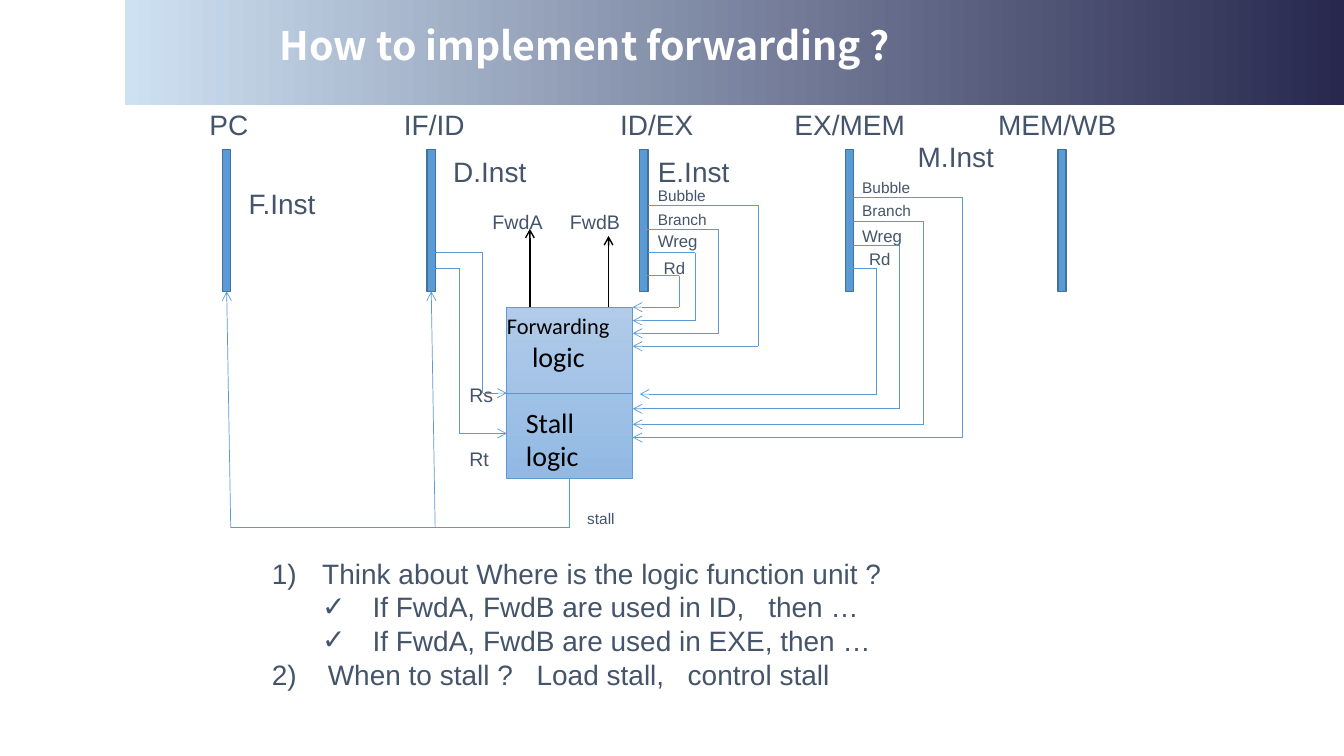
from dataclasses import dataclass
from typing import Any, Optional

from lxml.etree import SubElement
from pptx import Presentation
from pptx.dml.color import RGBColor
from pptx.enum.shapes import MSO_CONNECTOR, MSO_SHAPE
from pptx.enum.text import MSO_ANCHOR, PP_ALIGN
from pptx.oxml.ns import qn
from pptx.util import Pt

WHITE = RGBColor(0xFF, 0xFF, 0xFF)
BLACK = RGBColor(0x00, 0x00, 0x00)
SLATE = RGBColor(0x44, 0x54, 0x6A)
BLUE = RGBColor(0x5B, 0x9B, 0xD5)
DIVIDER_BLUE = RGBColor(0x56, 0x98, 0xD3)
BAR_EDGE = RGBColor(0x41, 0x71, 0x9C)
BANNER_LIGHT = RGBColor(0xCE, 0xE1, 0xF2)
BANNER_DARK = RGBColor(0x28, 0x28, 0x4E)
LOGIC_TOP = RGBColor(0xB1, 0xCB, 0xE9)
LOGIC_BOTTOM = RGBColor(0x92, 0xB9, 0xE4)

INSET = 7.2
BAR_TOP, BAR_WIDTH, BAR_HEIGHT = 106.6, 5.8, 101.5
LOGIC_LEFT, LOGIC_SURFACE, LOGIC_WIDTH, LOGIC_HEIGHT = 362.2, 219.6, 90, 122.4
LOGIC_RIGHT = LOGIC_LEFT + LOGIC_WIDTH
LOGIC_MIDDLE = LOGIC_SURFACE + LOGIC_HEIGHT / 2
LOGIC_CENTER = LOGIC_LEFT + LOGIC_WIDTH / 2
LOGIC_BASE = LOGIC_SURFACE + LOGIC_HEIGHT

Point = tuple[float, float]
Joint = Optional[tuple[Any, int]]


@dataclass
class Label:
    text: str
    left: float
    top: float
    size: float


@dataclass
class Register:
    name: str
    bar_left: float
    label_left: float


@dataclass
class Signal:
    label: Label
    start: float
    top: float
    turn: float
    bottom: float
    end: float = LOGIC_RIGHT


@dataclass
class LogicLine:
    text: str
    size: float
    indent: float
    before: float


@dataclass
class ListItem:
    phrases: list[str]
    margin: float
    hanging: float
    bullet: str
    attributes: dict[str, str]


REGISTERS = [
    Register("PC", 159.1, 142.6),
    Register("IF/ID", 305.3, 281.6),
    Register("ID/EX", 457.2, 436.1),
    Register("EX/MEM", 604.1, 560.6),
    Register("MEM/WB", 756, 706.2),
]
LABELS = [
    Label("F.Inst", 170.6, 129.6, 20),
    Label("D.Inst", 316.8, 106.6, 20),
    Label("E.Inst", 463, 106.6, 20),
    Label("M.Inst", 648.7, 95.8, 20),
    Label("Rs", 328.3, 270, 14),
    Label("Rt", 328.3, 315.4, 14),
    Label("stall", 412.6, 360, 11),
    Label("FwdA", 344.9, 146.2, 14),
    Label("FwdB", 400.2, 146.2, 14),
]
SIGNALS = [
    Signal(Label("Bubble", 463, 129.6, 11), 463, 146.5, 541.8, 247.3),
    Signal(Label("Branch", 463, 146.2, 11), 459.4, 163.6, 513.7, 238),
    Signal(Label("Wreg", 463, 161.3, 12), 463, 180.4, 496.8, 229),
    Signal(Label("Rd", 467.2, 180.7, 12), 460, 197, 485.3, 219.4),
    Signal(Label("Bubble", 609.1, 123.8, 11), 609.1, 141.1, 688, 312.5),
    Signal(Label("Branch", 609.1, 140.4, 11), 605.5, 158, 660.2, 303.1),
    Signal(Label("Wreg", 609.1, 157.7, 12), 609.1, 175, 643, 292),
    Signal(Label("Rd", 614, 174.2, 12), 609.1, 191.8, 626.4, 281.5, 457.2),
]
LOGIC_LINES = [
    LogicLine("Forwarding", 16, 0, 0),
    LogicLine("logic", 20, 18, 0),
    LogicLine("Stall", 20, 13.6, 23),
    LogicLine("logic", 20, 13.6, 0),
]
NUMBER = {"type": "arabicParenR"}
CHECK = {"char": "✓"}
LIST_ITEMS = [
    ListItem(["Think about Where is the logic function unit ?"], 36, 36, "a:buAutoNum", NUMBER),
    ListItem(["If FwdA, FwdB are used in ID,", "then …"], 72, 36, "a:buChar", CHECK),
    ListItem(["If FwdA, FwdB are used in EXE, then …"], 72, 36, "a:buChar", CHECK),
    ListItem(["When to stall ?", "Load stall,", "control stall"], 40, 40, "a:buAutoNum", NUMBER | {"startAt": "2"}),
]


def apply_format(target: Any, values: dict[str, Any]) -> None:
    for name, value in values.items():
        setattr(target, name, value)


def format_font(font: Any, name: str, size: float, color: RGBColor, bold: bool = False) -> None:
    apply_format(font, {"name": name, "size": Pt(size), "bold": bold})
    font.color.rgb = color


def add_text_box(slide: Any, left: float, top: float, width: float, height: float) -> Any:
    frame = slide.shapes.add_textbox(Pt(left), Pt(top), Pt(width), Pt(height)).text_frame
    frame.word_wrap = True
    return frame


def add_label(slide: Any, label: Label) -> None:
    width = len(label.text) * label.size * 0.8 + 2 * INSET
    frame = add_text_box(slide, label.left, label.top, width, label.size * 1.2 + INSET)
    paragraph = frame.paragraphs[0]
    paragraph.text = label.text
    format_font(paragraph.font, "Arial", label.size, SLATE)


def add_rectangle(slide: Any, left: float, top: float, width: float, height: float) -> Any:
    shape = slide.shapes.add_shape(MSO_SHAPE.RECTANGLE, Pt(left), Pt(top), Pt(width), Pt(height))
    shape.shadow.inherit = False
    return shape


def fill_gradient(shape: Any, colors: tuple[RGBColor, RGBColor], angle: float) -> None:
    shape.fill.gradient()
    shape.fill.gradient_angle = angle
    for stop, color in zip(shape.fill.gradient_stops, colors):
        stop.color.rgb = color


def set_line(shape: Any, color: RGBColor, width: float) -> None:
    shape.line.color.rgb = color
    shape.line.width = Pt(width)


def add_wire(slide: Any, points: list[Point], color: RGBColor = BLUE, width: float = 0.5,
             arrow: bool = True, begin: Joint = None, end: Joint = None) -> None:
    last = len(points) - 2
    for index, (start, stop) in enumerate(zip(points, points[1:])):
        connector = slide.shapes.add_connector(MSO_CONNECTOR.STRAIGHT, *map(Pt, start + stop))
        set_line(connector, color, width)
        properties = connector.element.spPr
        if arrow and index == last:
            SubElement(properties.find(qn("a:ln")), qn("a:tailEnd"), type="arrow")
        SubElement(properties, qn("a:effectLst"))
        if begin and index == 0:
            connector.begin_connect(*begin)
        if end and index == last:
            connector.end_connect(*end)


def add_banner(slide: Any) -> None:
    banner = add_rectangle(slide, 89, 0, 871.5, 75)
    fill_gradient(banner, (BANNER_LIGHT, BANNER_DARK), 0)
    banner.line.fill.background()
    frame = add_text_box(slide, 193, 0, 616.3, 67.7)
    frame.vertical_anchor = MSO_ANCHOR.MIDDLE
    paragraph = frame.paragraphs[0]
    apply_format(paragraph, {"text": "How to implement forwarding ?", "line_spacing": 0.9})
    format_font(paragraph.font, "Noto Sans CJK SC", 28, WHITE, True)


def add_register(slide: Any, register: Register) -> Any:
    bar = add_rectangle(slide, register.bar_left, BAR_TOP, BAR_WIDTH, BAR_HEIGHT)
    bar.fill.solid()
    bar.fill.fore_color.rgb = BLUE
    set_line(bar, BAR_EDGE, 1)
    add_label(slide, Label(register.name, register.label_left, 73.4, 20))
    return bar


def add_logic(slide: Any) -> Any:
    logic = add_rectangle(slide, LOGIC_LEFT, LOGIC_SURFACE, LOGIC_WIDTH, LOGIC_HEIGHT)
    fill_gradient(logic, (LOGIC_TOP, LOGIC_BOTTOM), 270)
    set_line(logic, BLUE, 0.5)
    frame = logic.text_frame
    apply_format(frame, {"margin_left": 0, "vertical_anchor": MSO_ANCHOR.TOP, "word_wrap": True})
    for index, line in enumerate(LOGIC_LINES):
        paragraph = frame.add_paragraph() if index else frame.paragraphs[0]
        apply_format(paragraph, {"text": line.text, "alignment": PP_ALIGN.LEFT, "space_before": Pt(line.before)})
        paragraph._p.get_or_add_pPr().set("marL", str(Pt(line.indent)))
        format_font(paragraph.font, "Calibri", line.size, BLACK)
    return logic


def add_list(slide: Any) -> None:
    frame = add_text_box(slide, 187.2, 393.8, 652.3, 103.7)
    for index, item in enumerate(LIST_ITEMS):
        paragraph = frame.add_paragraph() if index else frame.paragraphs[0]
        properties = paragraph._p.get_or_add_pPr()
        properties.set("marL", str(Pt(item.margin)))
        properties.set("indent", str(-Pt(item.hanging)))
        SubElement(properties, qn("a:buFont"), typeface="Arial")
        SubElement(properties, qn(item.bullet), item.attributes)
        paragraph.line_spacing = Pt(24)
        for position, phrase in enumerate(item.phrases):
            if position:
                gap = paragraph.add_run()
                gap.text = " "
                format_font(gap.font, "Arial", 20, SLATE)
                gap._r.get_or_add_rPr().set("spc", "1110")
            run = paragraph.add_run()
            run.text = phrase
            format_font(run.font, "Arial", 20, SLATE)


def main() -> None:
    presentation = Presentation()
    apply_format(presentation, {"slide_width": Pt(960.5), "slide_height": Pt(540)})
    slide = presentation.slides.add_slide(presentation.slide_layouts[6])
    add_banner(slide)
    bars = [add_register(slide, register) for register in REGISTERS]
    logic = add_logic(slide)
    for label in LABELS + [signal.label for signal in SIGNALS]:
        add_label(slide, label)
    for signal in SIGNALS:
        add_wire(slide, [(signal.start, signal.top), (signal.turn, signal.top),
                         (signal.turn, signal.bottom), (signal.end, signal.bottom)])
    add_wire(slide, [(311, 180), (344.9, 180), (344.9, LOGIC_MIDDLE), (LOGIC_LEFT, LOGIC_MIDDLE)], end=(logic, 1))
    add_wire(slide, [(311, 191.5), (328.3, 191.5), (328.3, 309.6), (LOGIC_LEFT, 309.6)])
    add_wire(slide, [(LOGIC_CENTER, LOGIC_BASE), (LOGIC_CENTER, 377), (164.9, 377), (162, 208.1)],
             begin=(logic, 2), end=(bars[0], 2))
    add_wire(slide, [(311, 377), (308.2, 208.1)], end=(bars[1], 2))
    add_wire(slide, [(LOGIC_LEFT, LOGIC_MIDDLE), (LOGIC_RIGHT, LOGIC_MIDDLE)], DIVIDER_BLUE, 0.75, False,
             (logic, 1), (logic, 3))
    for left, tip in ((378.7, 163.4), (434.9, 168.5)):
        add_wire(slide, [(left, LOGIC_SURFACE), (left, tip)], BLACK, 1)
    add_list(slide)
    presentation.save("out.pptx")


if __name__ == "__main__":
    main()
